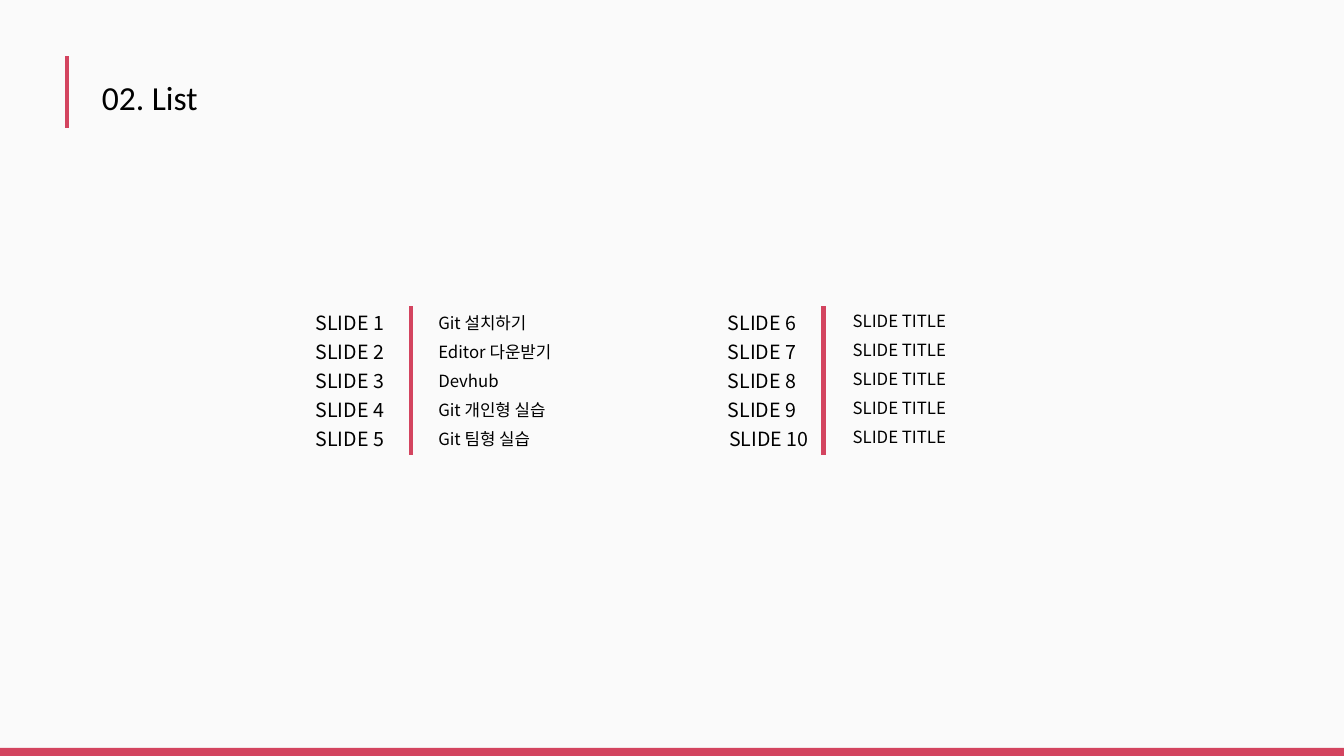
from pptx import Presentation
from pptx.dml.color import RGBColor
from pptx.enum.shapes import MSO_CONNECTOR, MSO_SHAPE
from pptx.enum.text import MSO_ANCHOR, MSO_AUTO_SIZE, PP_ALIGN
from pptx.oxml.ns import qn
from pptx.util import Pt
from lxml.etree import SubElement

TITLE = "02. List"
# Each column: left edge, top of its topics, topics
COLS = [
    {"left": 178.5, "topic": 306, "top": 219.5,
     "items": ["Git 설치하기", "Editor 다운받기", "Devhub",
               "Git 개인형 실습", "Git 팀형 실습"]},
    {"left": 473, "topic": 602, "top": 218.2,
     "items": ["SLIDE TITLE"] * 5},
]
COLORS = {"back": "FAFAFA", "red": "D3445F", "text": "000000"}
SANS = "Noto Sans CJK KR"
HEAD = {"name": "Calibri", "size": Pt(24), "bold": False}
LABEL = {"name": SANS, "size": Pt(14)}
TOPIC = {"name": SANS, "size": Pt(12)}
FRAME = {"word_wrap": True, "auto_size": MSO_AUTO_SIZE.SHAPE_TO_FIT_TEXT,
         "vertical_anchor": MSO_ANCHOR.TOP}

WIDE, HIGH = 960, 540
STEP, LABEL_TOP, LABEL_W = 20.8, 218.2, 103
RULE_GAP = 115.3
RULE_TOP, RULE_END = 218.9, 324.7
TEN_SHIFT = 8.6  # the two-digit label stands further right


def color(key):
    return RGBColor.from_string(COLORS[key])


def put(obj, values):
    for key, value in values.items():
        setattr(obj, key, value)


def place(shape, left, top, width, height):
    put(shape, {"left": Pt(left), "top": Pt(top),
                "width": Pt(width), "height": Pt(height)})


def write(shape, text, font, align=PP_ALIGN.LEFT):
    frame = shape.text_frame
    put(frame, FRAME)
    para = frame.paragraphs[0]
    para.alignment = align
    run = para.add_run()
    run.text = text
    put(run.font, font)
    run.font.color.rgb = color("text")
    # Hangul takes its face from the East Asian font
    SubElement(run.font._element, qn("a:ea")).set("typeface", font["name"])


def add_text(slide, box, text, font, align=PP_ALIGN.LEFT):
    shape = slide.shapes.add_textbox(*map(Pt, box))
    write(shape, text, font, align)


def add_rule(slide, x, top, end):
    """Draw a red upright line."""
    rule = slide.shapes.add_connector(
        MSO_CONNECTOR.STRAIGHT, Pt(x), Pt(top), Pt(x), Pt(end))
    rule.line.color.rgb = color("red")
    rule.line.width = Pt(3)
    SubElement(rule._element.spPr, qn("a:effectLst"))


def add_col(slide, col, first):
    add_rule(slide, col["left"] + RULE_GAP, RULE_TOP, RULE_END)
    for row, item in enumerate(col["items"]):
        num = first + row
        left = col["left"] + (TEN_SHIFT if num >= 10 else 0)
        drop = row * STEP
        add_text(slide, (left, LABEL_TOP + drop, LABEL_W, 24.2),
                 f"SLIDE {num}", LABEL, PP_ALIGN.RIGHT)
        add_text(slide, (col["topic"], col["top"] + drop, 116.6, 21.8),
                 item, TOPIC)


def main():
    deck = Presentation()
    put(deck, {"slide_width": Pt(WIDE), "slide_height": Pt(HIGH)})
    slide = deck.slides.add_slide(deck.slide_layouts[5])
    fill = slide.background.fill
    fill.solid()
    fill.fore_color.rgb = color("back")

    add_rule(slide, 48, 40.2, 91.4)
    bar = slide.shapes.add_shape(
        MSO_SHAPE.RECTANGLE, 0, Pt(534.2), Pt(WIDE), Pt(5.8))
    bar.shadow.inherit = False
    bar.fill.solid()
    bar.fill.fore_color.rgb = color("red")
    bar.line.fill.background()

    title = slide.shapes.title
    place(title, 65.5, 51.1, 132.5, 36.4)
    write(title, TITLE, HEAD)

    first = 1
    for col in COLS:
        add_col(slide, col, first)
        first += len(col["items"])
    deck.save("out.pptx")


if __name__ == "__main__":
    main()
